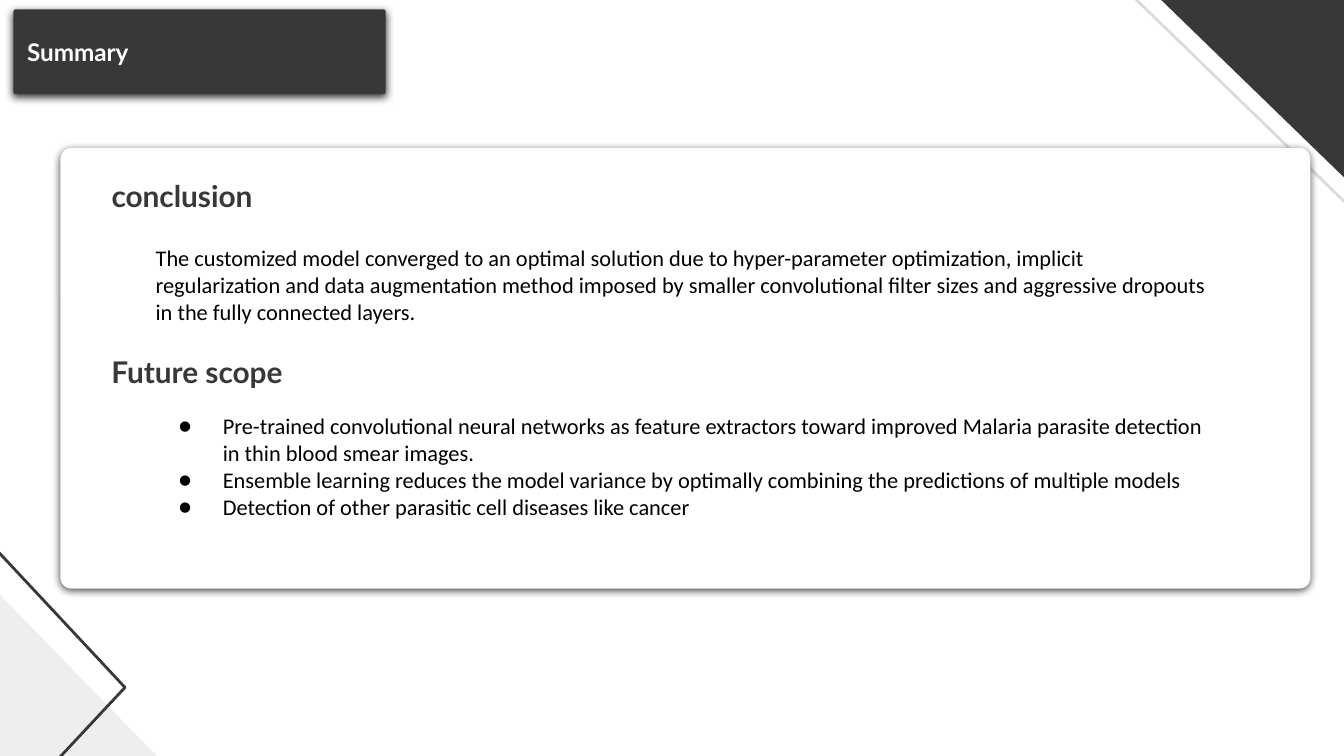
from lxml import etree
from pptx import Presentation
from pptx.dml.color import RGBColor
from pptx.enum.shapes import MSO_SHAPE
from pptx.enum.text import MSO_ANCHOR, MSO_AUTO_SIZE, PP_ALIGN
from pptx.oxml.ns import qn
from pptx.util import Inches, Pt

RIGHT_TRIANGLE = MSO_SHAPE.RIGHT_TRIANGLE
TRIANGLE = MSO_SHAPE.ISOSCELES_TRIANGLE
ROUNDED = MSO_SHAPE.ROUNDED_RECTANGLE
TOP, MIDDLE = MSO_ANCHOR.TOP, MSO_ANCHOR.MIDDLE
NO_AUTOFIT = MSO_AUTO_SIZE.NONE
LEFT = PP_ALIGN.LEFT

DARK, PALE, GREY = "383838", "EEEEEE", "DBDBDB"
WHITE, BLACK = "FFFFFF", "000000"
HEADING_LEFT, HEADING_WIDTH, HEADING_HEIGHT = 0.73, 1.86, 0.47
BODY_LEFT, BODY_WIDTH = 1.06, 8.06

CONCLUSION = (
    "The customized model converged to an optimal solution due to "
    "hyper-parameter optimization, implicit regularization and data "
    "augmentation method imposed by smaller convolutional filter sizes and "
    "aggressive dropouts in the fully connected layers."
)
FUTURE_SCOPE = [
    "Pre-trained convolutional neural networks as feature extractors toward "
    "improved Malaria parasite detection in thin blood smear images.",
    "Ensemble learning reduces the model variance by optimally combining the "
    "predictions of multiple models",
    "Detection of other parasitic cell diseases like cancer",
]


def color(value):
    return RGBColor.from_string(value)


def add_shape(slide, kind, box, fill=None, line=None, rotation=0):
    shape = slide.shapes.add_shape(kind, *map(Inches, box))
    shape.rotation = rotation
    shape.shadow.inherit = False
    if fill:
        shape.fill.solid()
        shape.fill.fore_color.rgb = color(fill)
    else:
        shape.fill.background()
    if line:
        shape.line.color.rgb = color(line)
        shape.line.width = Pt(1.5)
    else:
        shape.line.fill.background()
    return shape


def add_card(slide, box, fill):
    card = add_shape(slide, ROUNDED, box, fill)
    card.adjustments[0] = 0.025
    effects = card._element.spPr.find(qn("a:effectLst"))
    shadow = etree.SubElement(
        effects, qn("a:outerShdw"), blurRad=str(Pt(4.5)), dist=str(Pt(1.5)),
        dir="5400000", algn="bl", rotWithShape="0")
    etree.SubElement(shadow, qn("a:srgbClr"), val=DARK)
    return card


def write_text(shape, texts, size, font, text_color, bold=False, anchor=TOP):
    frame = shape.text_frame
    frame.word_wrap = True
    frame.auto_size = NO_AUTOFIT
    frame.vertical_anchor = anchor
    frame.margin_left = frame.margin_right = Inches(0.1)
    frame.margin_top = frame.margin_bottom = Inches(0.1)
    frame.text = "\n".join(texts)
    for paragraph in frame.paragraphs:
        paragraph.alignment = LEFT
        paragraph.font.size = Pt(size)
        paragraph.font.name = font
        paragraph.font.bold = bold
        paragraph.font.color.rgb = color(text_color)


def write_heading(shape, text):
    write_text(shape, [text], 16, "Lato", DARK, bold=True)


def add_heading(slide, top, text):
    box = (HEADING_LEFT, top, HEADING_WIDTH, HEADING_HEIGHT)
    write_heading(slide.shapes.add_textbox(*map(Inches, box)), text)


def place_title(slide, top, text):
    title = slide.shapes.title
    title.left, title.top = Inches(HEADING_LEFT), Inches(top)
    title.width, title.height = Inches(HEADING_WIDTH), Inches(HEADING_HEIGHT)
    write_heading(title, text)
    slide.shapes._spTree.append(title._element)


def add_body(slide, top, height, texts):
    box = (BODY_LEFT, top, BODY_WIDTH, height)
    body = slide.shapes.add_textbox(*map(Inches, box))
    write_text(body, texts, 12, "Calibri", BLACK)
    return body


def add_bullets(shape):
    for paragraph in shape.text_frame.paragraphs:
        properties = paragraph._p.get_or_add_pPr()
        properties.set("marL", str(Inches(0.5)))
        properties.set("indent", str(Inches(-0.33)))
        bullet_color = etree.Element(qn("a:buClr"))
        etree.SubElement(bullet_color, qn("a:srgbClr"), val=BLACK)
        properties.insert(0, bullet_color)
        properties.insert(1, etree.Element(qn("a:buSzPts"), val="1200"))
        properties.insert(2, etree.Element(qn("a:buFont"), typeface="Calibri"))
        properties.insert(3, etree.Element(qn("a:buChar"), char="●"))


def add_corners(slide):
    add_shape(slide, RIGHT_TRIANGLE, (7.55, -0.88, 3.72, 3.61),
              line=GREY, rotation=180)
    add_shape(slide, RIGHT_TRIANGLE, (7.62, -0.99, 3.72, 3.61),
              fill=DARK, rotation=180)
    pale_corner = add_shape(slide, RIGHT_TRIANGLE, (-0.23, 4.23, 1.48, 1.44),
                            fill=PALE, rotation=90)
    pale_corner._element.spPr.xfrm.set("flipH", "1")
    add_shape(slide, TRIANGLE, (-1.41, 4.37, 3.19, 1.49),
              line=DARK, rotation=90)


def main():
    presentation = Presentation()
    presentation.slide_width = Inches(10)
    presentation.slide_height = Inches(10) * 9 // 16
    slide = presentation.slides.add_slide(presentation.slide_layouts[5])

    add_corners(slide)
    banner = add_card(slide, (0.1, 0.07, 2.77, 0.63), DARK)
    write_text(banner, ["Summary"], 13, "Lato", WHITE, bold=True, anchor=MIDDLE)
    add_card(slide, (0.45, 1.1, 9.3, 3.28), WHITE)

    place_title(slide, 1.22, "conclusion")
    add_body(slide, 1.72, 1.01, [CONCLUSION])
    add_heading(slide, 2.53, "Future scope")
    add_bullets(add_body(slide, 2.97, 1.41, FUTURE_SCOPE))

    presentation.save("out.pptx")


if __name__ == "__main__":
    main()
